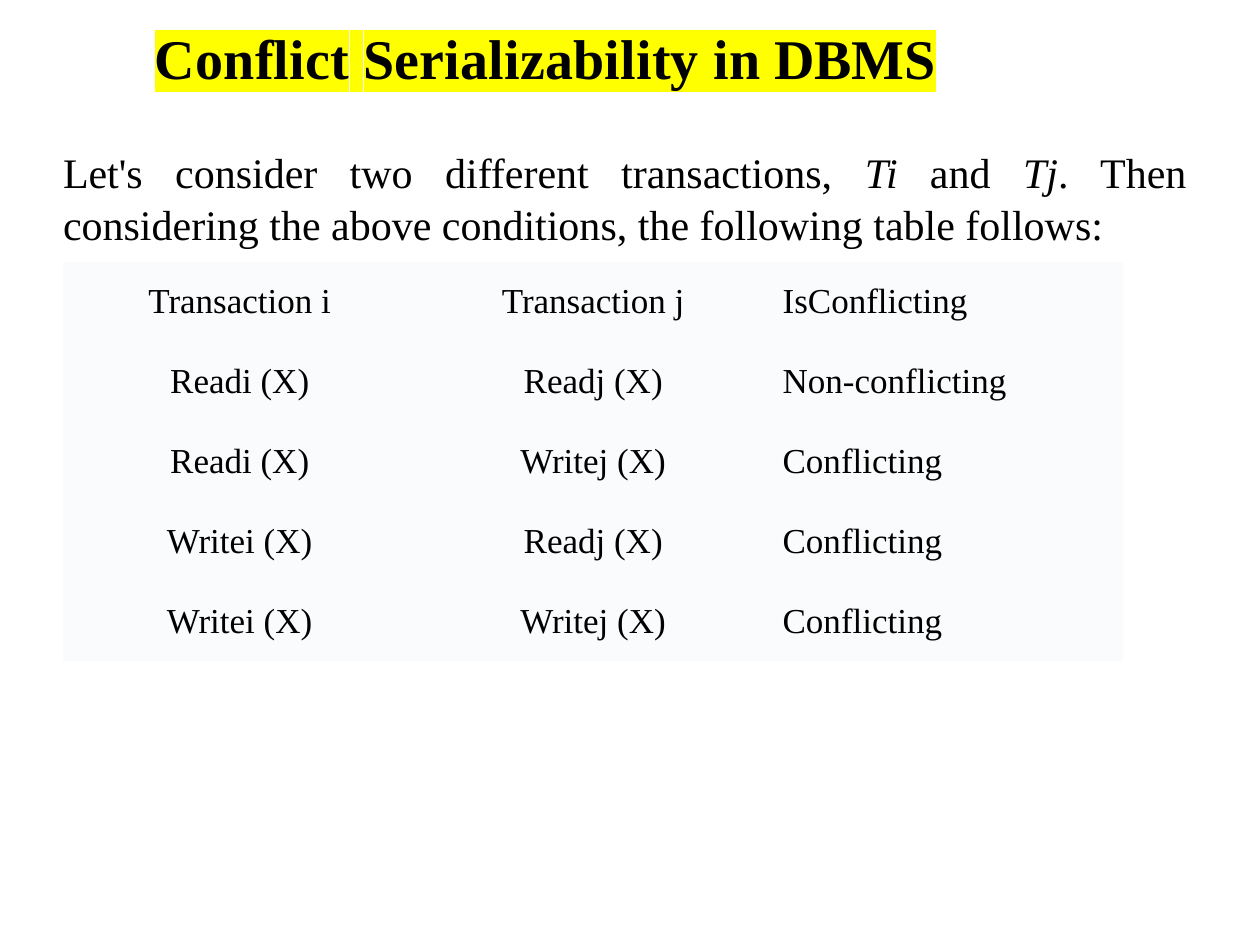
from dataclasses import dataclass

from lxml import etree
from pptx import Presentation
from pptx.dml.color import RGBColor
from pptx.enum.text import MSO_ANCHOR, MSO_AUTO_SIZE, PP_ALIGN
from pptx.oxml.ns import qn
from pptx.util import Pt

LEFT, MID, JUST = PP_ALIGN.LEFT, PP_ALIGN.CENTER, PP_ALIGN.JUSTIFY
CENTRE, BOTTOM = MSO_ANCHOR.MIDDLE, MSO_ANCHOR.BOTTOM
NO_FIT = MSO_AUTO_SIZE.NONE
PLAIN = "{2D5ABB26-0587-4C30-8999-92F81FD0307C}"


@dataclass(frozen=True)
class Theme:
    font: str = "Times New Roman"
    ink: str = "000000"
    mark: str = "FFFF00"
    cell: str = "FAFBFC"
    title: int = 32
    body: int = 24
    table: int = 20


THEME = Theme()

# Each title run has its letter spacing in hundredths of a point.
TITLE = [("Conflict", 10), (" ", -90), ("Serializability", 10),
         (" ", -140), ("in", 0), (" DBMS", -10)]
# Each body run says whether it is italic.
BODY = [
    ("Let's consider two different transactions, ", False),
    ("Ti", True),
    (" and ", False),
    ("Tj", True),
    (". Then considering the above conditions, "
     "the following table follows:", False),
]
ROWS = [
    ("Transaction i", "Transaction j", "IsConflicting"),
    ("Readi (X)", "Readj (X)", "Non-conflicting"),
    ("Readi (X)", "Writej (X)", "Conflicting"),
    ("Writei (X)", "Readj (X)", "Conflicting"),
    ("Writei (X)", "Writej (X)", "Conflicting"),
]
ALIGNS = (MID, MID, LEFT)


def add_run(para, text, size, bold=False, italic=False):
    run = para.add_run()
    run.text = text
    font = run.font
    font.size, font.bold, font.italic = Pt(size), bold, italic
    font.color.rgb = RGBColor.from_string(THEME.ink)
    font.name = THEME.font
    return run


def mark_run(run, space):
    """Highlight a run and set its letter spacing."""
    props = run.font._element
    props.set("spc", str(space))
    light = etree.Element(qn("a:highlight"))
    etree.SubElement(light, qn("a:srgbClr"), val=THEME.mark)
    props.find(qn("a:latin")).addprevious(light)


def set_frame(shape, box, align):
    """Place a placeholder, clear its margins and return its paragraph."""
    shape.left, shape.top, shape.width, shape.height = map(Pt, box)
    frame = shape.text_frame
    frame.margin_left = frame.margin_right = 0
    frame.margin_top = frame.margin_bottom = 0
    frame.word_wrap = True
    frame.auto_size = NO_FIT
    frame.vertical_anchor = BOTTOM
    para = frame.paragraphs[0]
    para.alignment = align
    para.space_before = Pt(0)
    return para


def fill_title(shape):
    para = set_frame(shape, (88.5, 13, 543, 39), LEFT)
    for text, space in TITLE:
        mark_run(add_run(para, text, THEME.title, bold=True), space)


def fill_body(shape):
    para = set_frame(shape, (36, 84, 642, 58.5), JUST)
    para.line_spacing = 1.04
    props = para._p.get_or_add_pPr()
    props.set("marL", "0")
    props.set("indent", "0")
    etree.SubElement(props, qn("a:buNone"))
    for text, italic in BODY:
        add_run(para, text, THEME.body, italic=italic)


def add_grid(slide):
    box = map(Pt, (36, 149.8, 606, 228))
    table = slide.shapes.add_table(len(ROWS), len(ALIGNS), *box).table
    table.first_row = table.horz_banding = False
    table._tbl.tblPr.find(qn("a:tableStyleId")).text = PLAIN
    for r, row in enumerate(ROWS):
        for c, (text, align) in enumerate(zip(row, ALIGNS)):
            cell = table.cell(r, c)
            cell.fill.solid()
            cell.fill.fore_color.rgb = RGBColor.from_string(THEME.cell)
            cell.vertical_anchor = CENTRE
            para = cell.text_frame.paragraphs[0]
            para.alignment = align
            add_run(para, text, THEME.table)


def main():
    deck = Presentation()
    deck.slide_width, deck.slide_height = Pt(720), Pt(540)
    slide = deck.slides.add_slide(deck.slide_layouts[1])
    fill_title(slide.shapes.title)
    fill_body(slide.placeholders[1])
    add_grid(slide)
    deck.save("out.pptx")


if __name__ == "__main__":
    main()
